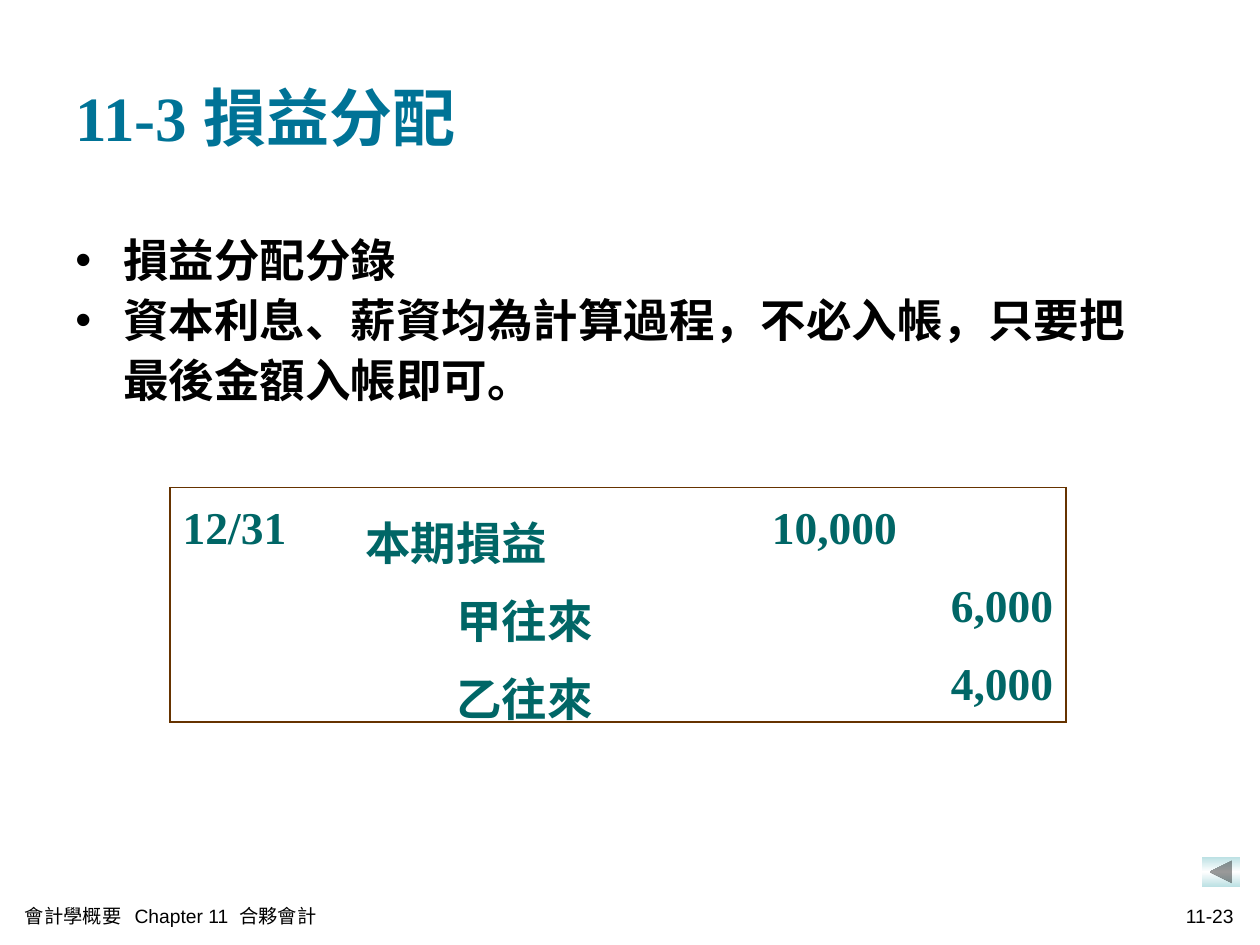
"""Build the profit-sharing journal entry slide."""
from lxml import etree
from pptx import Presentation
from pptx.dml.color import RGBColor
from pptx.enum import shapes, text
from pptx.oxml import ns
from pptx.util import Inches, Pt

BLUE = RGBColor(0x00, 0x73, 0x96)
TEAL = RGBColor(0x00, 0x66, 0x66)
BLACK = RGBColor(0, 0, 0)
PALE = RGBColor(0xBB, 0xE0, 0xE3)
WHITE = RGBColor(255, 255, 255)
BROWN = RGBColor(0x66, 0x33, 0x00)
SERIF, SANS = "Times New Roman", "Arial"
LEFT, RIGHT = text.PP_ALIGN.LEFT, text.PP_ALIGN.RIGHT
TOP, MID = text.MSO_ANCHOR.TOP, text.MSO_ANCHOR.MIDDLE
COLS = (1.45, 2.91, 1.51, 1.24)
ROWS = (
    ("12/31", "本期損益", "10,000", ""),
    ("", "甲往來", "", "6,000"),
    ("", "乙往來", "", "4,000"),
)


def add(node, tag, **attrs):
    return etree.SubElement(node, ns.qn(tag), attrs)


def style(para, size, color, face=SERIF, bold=True, align=LEFT):
    para.alignment = align
    font = para.font
    font.size, font.name, font.bold = Pt(size), face, bold
    font.color.rgb = color


def indent(para, left, first=0):
    props = para._p.get_or_add_pPr()
    props.set("marL", str(Inches(left)))
    props.set("indent", str(Inches(first)))
    return props


def box(slide, area, lines, anchor=MID):
    frame = slide.shapes.add_textbox(*map(Inches, area)).text_frame
    frame.word_wrap = True
    frame.vertical_anchor = anchor
    frame.text = "\n".join(lines)
    return frame.paragraphs


def bullets(slide, area, lines):
    for para in box(slide, area, lines, TOP):
        para.line_spacing = 1.1
        props = indent(para, 0.38, -0.38)
        add(add(props, "a:buClr"), "a:srgbClr", val=str(BLACK))
        add(props, "a:buFont", typeface=SANS)
        add(props, "a:buChar", char="•")
        style(para, 26, BLACK)


def border(cell, sides):
    props = cell._tc.get_or_add_tcPr()
    for side in "LRTB":
        line = add(props, f"a:ln{side}", w=str(Pt(1.08)))
        if side in sides:
            add(add(line, "a:solidFill"), "a:srgbClr", val=str(BROWN))
        else:
            add(line, "a:noFill")


def entry(slide):
    frame = slide.shapes.add_table(
        len(ROWS), len(COLS), Inches(1.35), Inches(3.87),
        Inches(sum(COLS)), Inches(0.62 * len(ROWS)))
    table = frame.table
    table.first_row = table.horz_banding = False
    for col, width in zip(table.columns, COLS):
        col.width = Inches(width)
    for r, row in enumerate(ROWS):
        for c, words in enumerate(row):
            cell = table.cell(r, c)
            edges = {"L": c == 0, "R": c == len(COLS) - 1,
                     "T": r == 0, "B": r == len(ROWS) - 1}
            border(cell, [side for side, on in edges.items() if on])
            cell.fill.background()
            cell.text = words
            para = cell.text_frame.paragraphs[0]
            if words:
                para.line_spacing = 1.2
                para.space_before = Pt(6.5)
            if r and c == 1:
                indent(para, 0.72)
            style(para, 26, TEAL, align=RIGHT if c > 1 else LEFT)


def button(slide):
    kind = shapes.MSO_SHAPE.ACTION_BUTTON_BACK_OR_PREVIOUS
    shape = slide.shapes.add_shape(
        kind, Inches(9.54), Inches(6.8), Inches(0.3), Inches(0.24))
    shape.shadow.inherit = False
    shape.line.fill.background()
    shape.fill.gradient()
    shape.fill.gradient_angle = 270
    stops = shape._element.spPr.find(ns.qn("a:gradFill")).find(ns.qn("a:gsLst"))
    for stop in list(stops):
        stops.remove(stop)
    for pos, color in ((0, PALE), (50, WHITE), (100, PALE)):
        add(add(stops, "a:gs", pos=str(pos * 1000)), "a:srgbClr", val=str(color))


def main():
    deck = Presentation()
    deck.slide_width, deck.slide_height = Inches(10), Inches(7.5)
    slide = deck.slides.add_slide(deck.slide_layouts[6])
    title = box(slide, (0.5, 0.3, 9, 1.25), ["11-3 損益分配"])
    style(title[0], 36, BLUE)
    bullets(slide, (0.5, 1.75, 8.82, 1.55), [
        "損益分配分錄",
        "資本利息、薪資均為計算過程，不必入帳，只要把最後金額入帳即可。"])
    entry(slide)
    button(slide)
    foot = box(slide, (0.1, 7.1, 5.1, 0.33), ["會計學概要   Chapter 11  合夥會計"])
    style(foot[0], 11, BLACK, SANS, False)
    page = box(slide, (6.77, 7.1, 3.12, 0.33), ["11-23"])
    style(page[0], 11, BLACK, SANS, False, RIGHT)
    deck.save("out.pptx")


if __name__ == "__main__":
    main()
